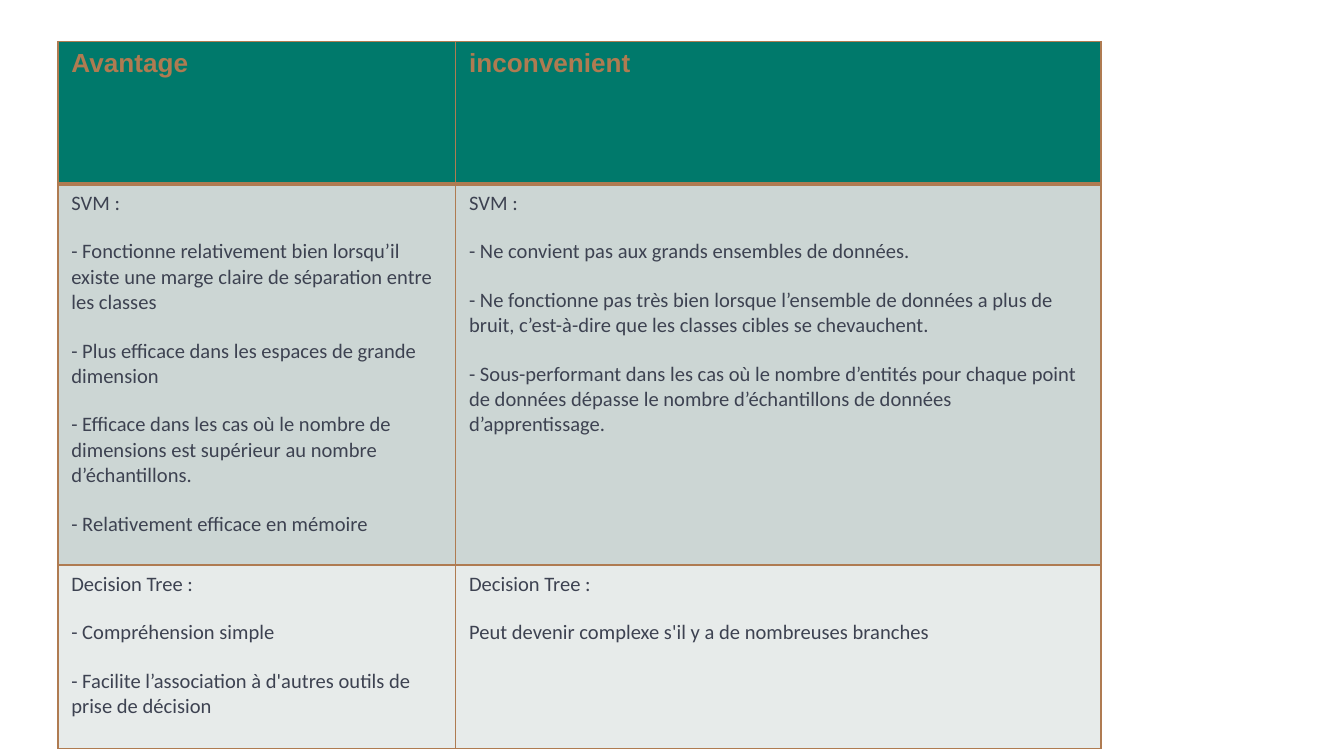
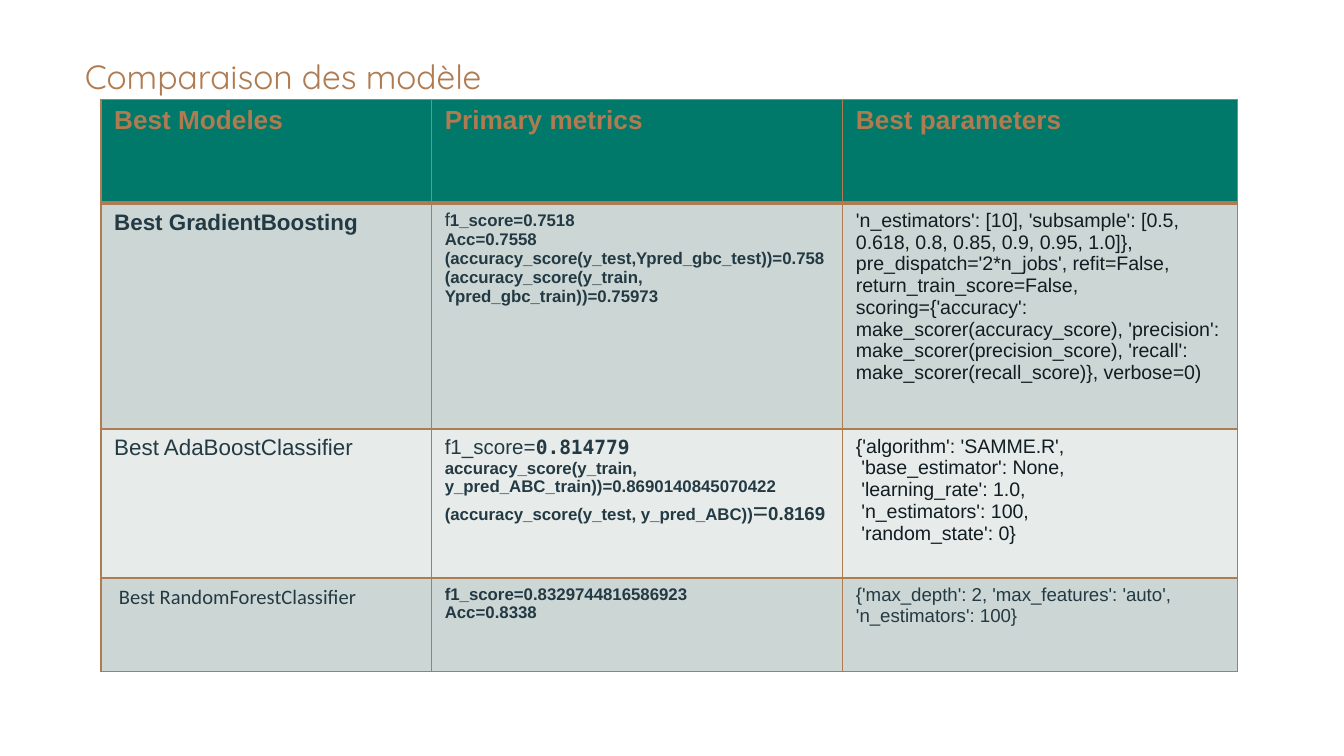
from dataclasses import dataclass, replace

import pptx
import pptx.dml.color
import pptx.enum.text
import pptx.oxml
import pptx.oxml.ns
import pptx.slide
import pptx.table
import pptx.text.text
import pptx.util

Pt = pptx.util.Pt


@dataclass(frozen=True)
class Style:
    font: str
    size: float
    color: str
    bold: bool = False


@dataclass(frozen=True)
class Theme:
    accent: str = "AF7B51"
    header_fill: str = "00796B"
    band_fills: tuple[str, str] = ("CCD6D4", "E7EBEA")
    thin: float = 0.96
    thick: float = 3
    title: Style = Style("Quicksand", 18, "AF7B51")
    header: Style = Style("Arial", 14, "AF7B51", True)
    prose: Style = Style("Calibri", 11, "3D4251")
    model: Style = Style("Arial", 12, "233A44")
    metric: Style = Style("Arial", 9, "233A44", True)
    param: Style = Style("Arial", 10.5, "111D22")


THEME = Theme()


@dataclass(frozen=True)
class Run:
    text: str
    style: Style


Paragraph = tuple[Run, ...]


@dataclass(frozen=True)
class Cell:
    paragraphs: tuple[Paragraph, ...]
    gap: float = 0


@dataclass(frozen=True)
class Grid:
    left: float
    top: float
    widths: tuple[float, ...]
    heights: tuple[float, ...]
    headings: tuple[str, ...]
    body: tuple[tuple[Cell, ...], ...]


def lines(style: Style, *texts: str, gap: float = 0) -> Cell:
    return Cell(tuple((Run(text, style),) for text in texts), gap)


def prose(*texts: str) -> Cell:
    return lines(THEME.prose, *texts, gap=12.4)


def apply(target: object, values: dict[str, object]) -> None:
    for name, value in values.items():
        setattr(target, name, value)


def write_run(p: pptx.text.text._Paragraph, run: Run) -> None:
    r = p.add_run()
    r.text = run.text
    style = run.style
    apply(r.font, {"name": style.font, "size": Pt(style.size), "bold": style.bold})
    r.font.color.rgb = pptx.dml.color.RGBColor.from_string(style.color)


def write_text(tf: pptx.text.text.TextFrame, cell: Cell) -> None:
    for i, runs in enumerate(cell.paragraphs):
        p = tf.add_paragraph() if i else tf.paragraphs[0]
        apply(p, {"space_before": Pt(cell.gap if i else 0),
                  "alignment": pptx.enum.text.PP_ALIGN.LEFT})
        for run in runs:
            write_run(p, run)


def draw_borders(cell: pptx.table._Cell, widths: dict[str, float]) -> None:
    tc_pr = cell._tc.get_or_add_tcPr()
    for side, width in widths.items():
        tc_pr.append(pptx.oxml.parse_xml(
            f'<a:ln{side} {pptx.oxml.ns.nsdecls("a")} w="{int(Pt(width))}">'
            f'<a:solidFill><a:srgbClr val="{THEME.accent}"/></a:solidFill>'
            f'</a:ln{side}>'))


def draw_grid(s: pptx.slide.Slide, grid: Grid) -> None:
    rows = (tuple(lines(THEME.header, text) for text in grid.headings), *grid.body)
    frame = s.shapes.add_table(
        len(rows), len(grid.widths), Pt(grid.left), Pt(grid.top),
        Pt(sum(grid.widths)), Pt(sum(grid.heights)))
    table = frame.table
    apply(table, {"first_row": False, "horz_banding": False})
    for column, width in zip(table.columns, grid.widths):
        column.width = Pt(width)
    for i, (row, height) in enumerate(zip(rows, grid.heights)):
        table.rows[i].height = Pt(height)
        fill = THEME.band_fills[(i - 1) % 2] if i else THEME.header_fill
        borders = {"L": THEME.thin, "R": THEME.thin,
                   "T": THEME.thick if i == 1 else THEME.thin,
                   "B": THEME.thick if i == 0 else THEME.thin}
        for j, content in enumerate(row):
            cell = table.cell(i, j)
            draw_borders(cell, borders)
            cell.fill.solid()
            cell.fill.fore_color.rgb = pptx.dml.color.RGBColor.from_string(fill)
            write_text(cell.text_frame, content)


def draw_title(s: pptx.slide.Slide, text: str) -> None:
    sp = s.shapes.title
    apply(sp, {"left": Pt(38.2), "top": Pt(23), "width": Pt(732), "height": Pt(75)})
    tf = sp.text_frame
    apply(tf, {"word_wrap": True,
               "auto_size": pptx.enum.text.MSO_AUTO_SIZE.NONE,
               "vertical_anchor": pptx.enum.text.MSO_ANCHOR.TOP,
               "margin_left": Pt(7.2), "margin_right": Pt(7.2),
               "margin_top": Pt(7.2), "margin_bottom": Pt(7.2)})
    write_text(tf, lines(THEME.title, text))


PROS_AND_CONS = Grid(
    31, 22.3, (213.1, 345.6), (76.3, 204, 98.5),
    ("Avantage", "inconvenient"),
    (
        (
            prose(
                "SVM :",
                "- Fonctionne relativement bien lorsqu’il existe une marge claire de séparation entre les classes",
                "- Plus efficace dans les espaces de grande dimension",
                "- Efficace dans les cas où le nombre de dimensions est supérieur au nombre d’échantillons.",
                "- Relativement efficace en mémoire "),
            prose(
                "SVM :",
                "- Ne convient pas aux grands ensembles de données.",
                "- Ne fonctionne pas très bien lorsque l’ensemble de données a plus de bruit, "
                "c’est-à-dire que les classes cibles se chevauchent.",
                "- Sous-performant dans les cas où le nombre d’entités pour chaque point de données "
                "dépasse le nombre d’échantillons de données d’apprentissage."),
        ),
        (
            prose(
                "Decision Tree :",
                "- Compréhension simple",
                "- Facilite l’association à d'autres outils de prise de décision"),
            prose(
                "Decision Tree :",
                "Peut devenir complexe s'il y a de nombreuses branches"),
        ),
    ),
)

METRIC = THEME.metric
PLAIN = replace(METRIC, bold=False)

MODEL_COMPARISON = Grid(
    54, 53.3, (177.1, 220.3, 211.7), (55.5, 121, 80, 50),
    ("Best Modeles", "Primary metrics", "Best parameters"),
    (
        (
            lines(replace(THEME.model, bold=True), "Best GradientBoosting"),
            Cell((
                (Run("f", replace(PLAIN, size=10)), Run("1_score=0.7518", METRIC)),
                (Run("Acc=0.7558", METRIC),),
                (Run("(accuracy_score(y_test,Ypred_gbc_test))=0.758", METRIC),),
                (Run("(accuracy_score(y_train, Ypred_gbc_train))=0.75973", METRIC),),
            )),
            lines(
                THEME.param,
                "'n_estimators': [10], 'subsample': [0.5, 0.618, 0.8, 0.85, 0.9, 0.95, 1.0]}, "
                "pre_dispatch='2*n_jobs', refit=False, return_train_score=False, "
                "scoring={'accuracy': make_scorer(accuracy_score), "
                "'precision': make_scorer(precision_score), "
                "'recall': make_scorer(recall_score)}, verbose=0)"),
        ),
        (
            lines(THEME.model, "Best AdaBoostClassifier"),
            Cell((
                (Run("f1_score=", replace(PLAIN, size=11)),
                 Run("0.814779", replace(METRIC, font="DejaVu Sans Mono", size=10.5))),
                (Run("accuracy_score(y_train, y_pred_ABC_train))=0.8690140845070422 ", METRIC),),
                (Run("(accuracy_score(y_test, y_pred_ABC))", METRIC),
                 Run("=", replace(PLAIN, size=14)),
                 Run("0.8169", replace(METRIC, size=10))),
            )),
            lines(
                THEME.param,
                "{'algorithm': 'SAMME.R',",
                " 'base_estimator': None,",
                " 'learning_rate': 1.0,",
                " 'n_estimators': 100,",
                " 'random_state': 0}"),
        ),
        (
            lines(replace(THEME.model, font="Calibri", size=11), " Best RandomForestClassifier"),
            lines(METRIC, "f1_score=0.8329744816586923", "Acc=0.8338"),
            lines(replace(THEME.model, size=10),
                  "{'max_depth': 2, 'max_features': 'auto', 'n_estimators': 100}"),
        ),
    ),
)


def main() -> None:
    prs = pptx.Presentation()
    apply(prs, {"slide_width": Pt(720), "slide_height": Pt(405)})
    title_only, blank = prs.slide_layouts[5], prs.slide_layouts[6]

    s = prs.slides.add_slide(blank)
    draw_grid(s, PROS_AND_CONS)

    s = prs.slides.add_slide(title_only)
    draw_title(s, "Comparaison des modèle")
    draw_grid(s, MODEL_COMPARISON)

    prs.save("out.pptx")


if __name__ == "__main__":
    main()
